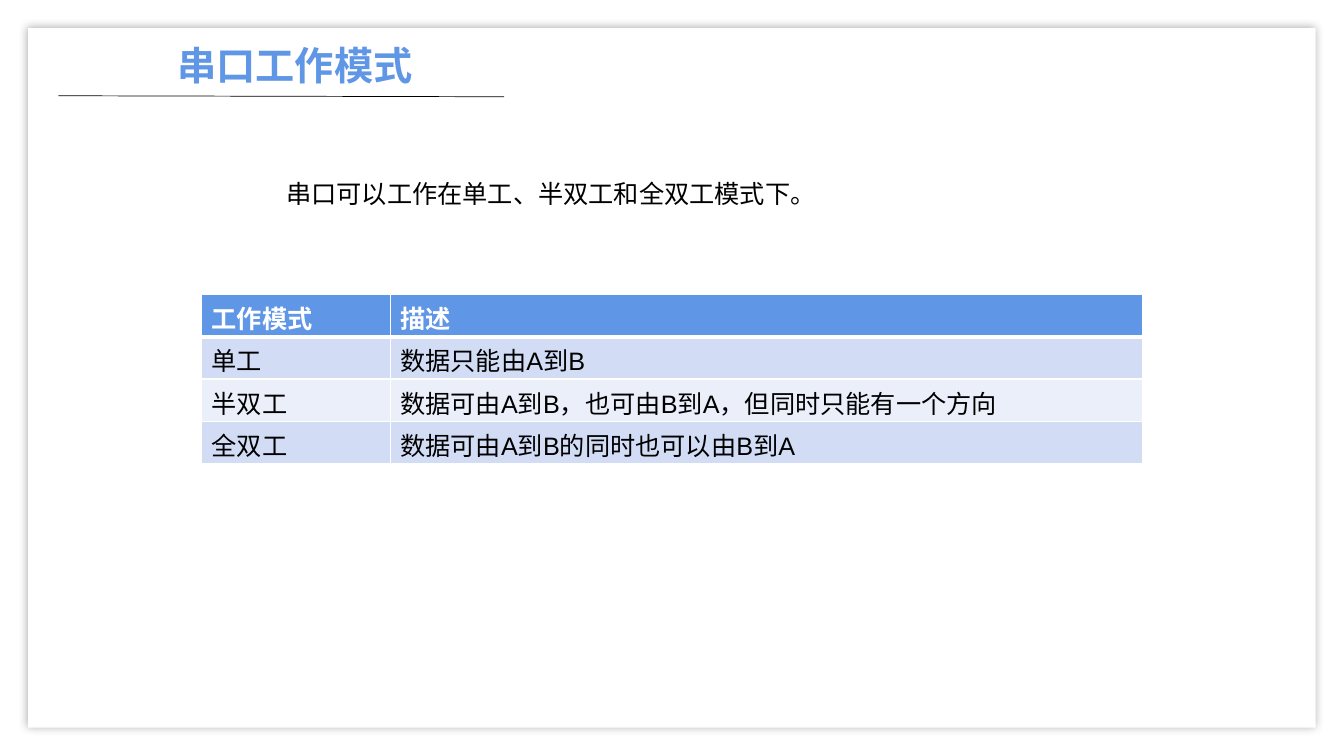
"""Build the slide on serial port working modes."""
from lxml import etree
from pptx import Presentation
from pptx.dml.color import RGBColor
from pptx.enum.shapes import MSO_CONNECTOR, MSO_SHAPE
from pptx.enum.text import MSO_ANCHOR, PP_ALIGN
from pptx.oxml import parse_xml
from pptx.oxml.ns import nsdecls, qn
from pptx.util import Inches, Pt

TITLE = "串口工作模式"
INTRO = "串口可以工作在单工、半双工和全双工模式下。"
MODES = [
    ("工作模式", "描述"),
    ("单工", "数据只能由A到B"),
    ("半双工", "数据可由A到B，也可由B到A，但同时只能有一个方向"),
    ("全双工", "数据可由A到B的同时也可以由B到A"),
]
WIDTH, HEIGHT = 13.33, 7.5
MARGIN = 0.28
COLUMNS = (1.87, 7.46)
ROW = 0.42
BLUE = RGBColor(0x60, 0x96, 0xE6)
BANDS = (RGBColor(0xEA, 0xEF, 0xFA), RGBColor(0xD2, 0xDD, 0xF5))
WHITE = RGBColor(0xFF, 0xFF, 0xFF)
BLACK = RGBColor(0, 0, 0)


def write(tf, text, size, color, bold=False):
    tf.text = text
    font = tf.paragraphs[0].runs[0].font
    font.name, font.size, font.bold = "Arial", Pt(size), bold
    font.color.rgb = color


def add_panel(slide):
    panel = slide.shapes.add_shape(
        MSO_SHAPE.RECTANGLE, Inches(MARGIN), Inches(MARGIN),
        Inches(WIDTH - 2 * MARGIN), Inches(HEIGHT - 2 * MARGIN))
    panel.fill.solid()
    panel.fill.fore_color.rgb = WHITE
    panel.line.fill.background()
    panel._element.spPr.append(parse_xml(
        f'<a:effectLst {nsdecls("a")}><a:outerShdw blurRad="{Pt(6)}" dist="0">'
        '<a:srgbClr val="404040"><a:alpha val="41000"/></a:srgbClr>'
        '</a:outerShdw></a:effectLst>'))
    slide.shapes._spTree.insert(2, panel._element)


def add_rule(slide):
    rule = slide.shapes.add_connector(
        MSO_CONNECTOR.STRAIGHT, Inches(0.58), Inches(0.95), Inches(5), Inches(0.96))
    rule.line.color.rgb = BLACK
    rule.line.width = Pt(0.5)
    etree.SubElement(rule._element.spPr, qn("a:effectLst"))


def set_borders(cell, bottom):
    tcPr = cell._tc.get_or_add_tcPr()
    widths = {"lnL": 1, "lnR": 1, "lnT": 1, "lnB": bottom}
    for i, (side, width) in enumerate(widths.items()):
        tcPr.insert(i, parse_xml(
            f'<a:{side} {nsdecls("a")} w="{Pt(width)}"><a:solidFill>'
            f'<a:srgbClr val="{WHITE}"/></a:solidFill></a:{side}>'))


def add_modes(slide):
    table = slide.shapes.add_table(
        len(MODES), len(COLUMNS), Inches(2), Inches(2.92),
        Inches(sum(COLUMNS)), Inches(ROW * len(MODES))).table
    for column, width in zip(table.columns, COLUMNS):
        column.width = Inches(width)
    for i, texts in enumerate(MODES):
        header = i == 0
        table.rows[i].height = Inches(ROW)
        for j, text in enumerate(texts):
            cell = table.cell(i, j)
            write(cell.text_frame, text, 18, WHITE if header else BLACK, header)
            cell.fill.solid()
            cell.fill.fore_color.rgb = BLUE if header else BANDS[i % 2]
            set_borders(cell, 3 if header else 1)


def main():
    prs = Presentation()
    prs.slide_width, prs.slide_height = Inches(WIDTH), Inches(HEIGHT)
    slide = prs.slides.add_slide(prs.slide_layouts[5])
    add_panel(slide)
    add_rule(slide)

    title = slide.shapes.title
    title.left, title.top = Inches(1.22), Inches(0.36)
    title.width, title.height = Inches(3.41), Inches(0.57)
    write(title.text_frame, TITLE, 28, BLUE, True)
    title.text_frame.vertical_anchor = MSO_ANCHOR.TOP
    title.text_frame.paragraphs[0].alignment = PP_ALIGN.CENTER

    intro = slide.shapes.add_textbox(Inches(2.74), Inches(1.72), Inches(5.45), Inches(0.4))
    write(intro.text_frame, INTRO, 18, BLACK)
    intro.text_frame.word_wrap = False

    add_modes(slide)
    prs.save("out.pptx")


if __name__ == "__main__":
    main()
